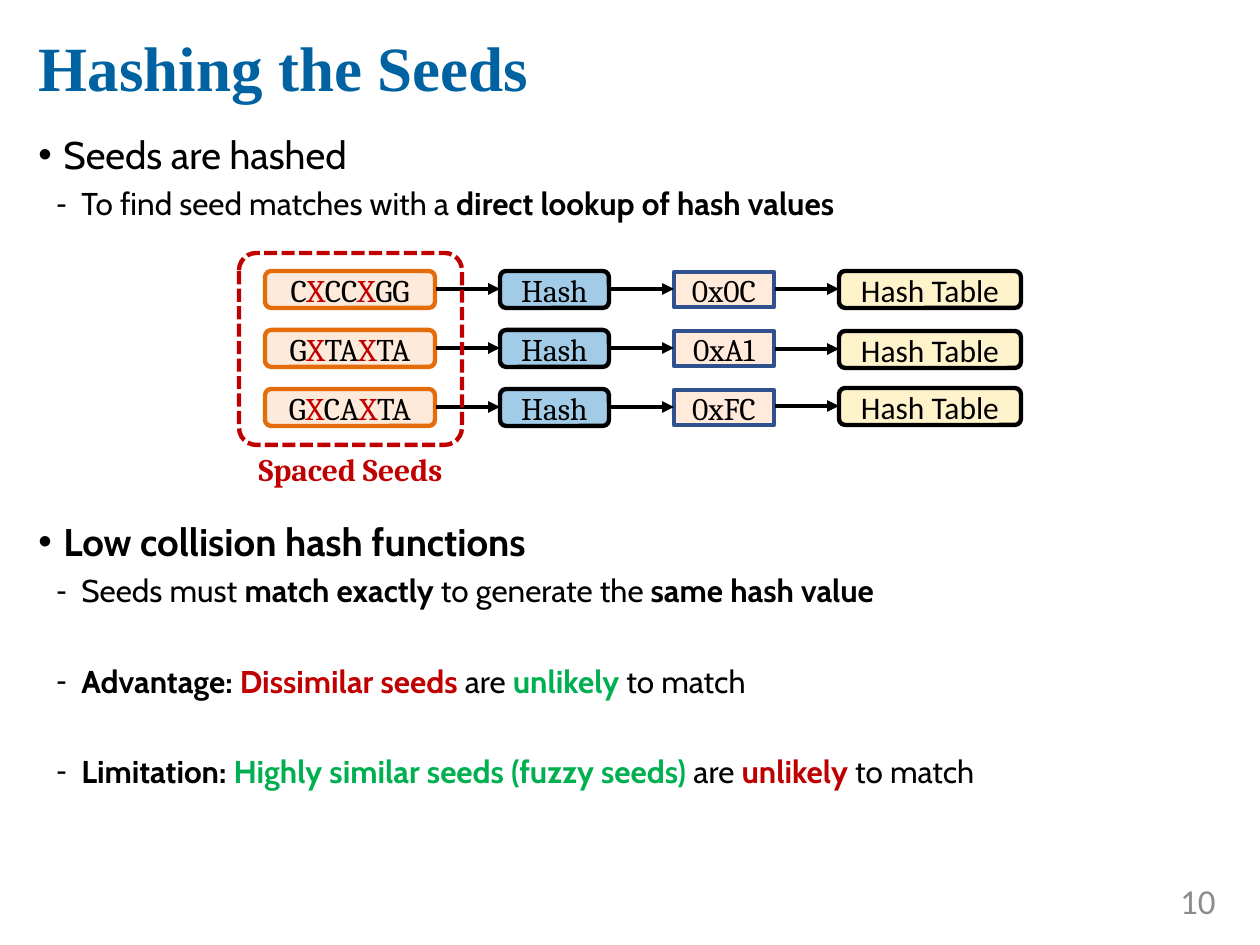
from lxml.etree import SubElement
from pptx import Presentation
from pptx.dml.color import RGBColor
from pptx.enum.dml import MSO_LINE
from pptx.enum.shapes import MSO_CONNECTOR, MSO_SHAPE as SHAPE
from pptx.enum.text import MSO_ANCHOR as ANCHOR, MSO_AUTO_SIZE, PP_ALIGN as ALIGN
from pptx.oxml.ns import qn
from pptx.util import Emu, Pt

PX = 914400 / 126
BLACK = RGBColor(0x00, 0x00, 0x00)
RED = RGBColor(0xC0, 0x00, 0x00)
GREEN = RGBColor(0x00, 0xB0, 0x50)
TITLE_BLUE = RGBColor(0x00, 0x62, 0xA0)
GREY = RGBColor(0x8C, 0x8C, 0x8C)
SEED_FILL = RGBColor(0xFD, 0xEA, 0xDA)
SEED_LINE = RGBColor(0xE4, 0x6C, 0x0A)
HASH_FILL = RGBColor(0xA1, 0xCB, 0xE6)
VALUE_FILL = RGBColor(0xFF, 0xEA, 0xDC)
VALUE_LINE = RGBColor(0x2F, 0x52, 0x8E)
TABLE_FILL = RGBColor(0xFF, 0xF3, 0xCC)


def px(*lengths):
    return [Emu(round(length * PX)) for length in lengths]


def write(paragraph, runs, font, size):
    for text, color, bold in runs:
        run = paragraph.add_run()
        run.text = text
        run.font.name = font
        run.font.size = Pt(size)
        run.font.bold = bold
        run.font.color.rgb = color


prs = Presentation()
prs.slide_width, prs.slide_height = px(1260, 945)
slide = prs.slides.add_slide(prs.slide_layouts[5])
shapes = slide.shapes

title = shapes.title
title.left, title.top, title.width, title.height = px(26, 13, 1212, 106)
heading = title.text_frame
heading.auto_size = MSO_AUTO_SIZE.NONE
heading.vertical_anchor = ANCHOR.MIDDLE
heading.paragraphs[0].alignment = ALIGN.LEFT
write(heading.paragraphs[0], [("Hashing the Seeds", TITLE_BLUE, True)], "Times New Roman", 36)

bullet_blocks = [
    (125, 111, [
        (0, 0, [("Seeds are hashed", BLACK, False)]),
        (1, 4, [("To find seed matches with a", BLACK, False),
                (" direct lookup of hash values", BLACK, True)]),
    ]),
    (512, 343, [
        (0, 0, [("Low collision hash functions", BLACK, True)]),
        (1, 4, [("Seeds must ", BLACK, False), ("match exactly", BLACK, True),
                (" to generate the ", BLACK, False), ("same hash value", BLACK, True)]),
        (1, 30, [("Advantage: ", BLACK, True), ("Dissimilar seeds ", RED, True),
                 ("are ", BLACK, False), ("unlikely", GREEN, True),
                 (" to match", BLACK, False)]),
        (1, 30, [("Limitation: ", BLACK, True),
                 ("Highly similar seeds (fuzzy seeds) ", GREEN, True),
                 ("are ", BLACK, False), ("unlikely", RED, True),
                 (" to match", BLACK, False)]),
    ]),
]
bullet_levels = [("•", 25, 22), ("-", 43, 18)]
for top, height, points in bullet_blocks:
    body = shapes.add_textbox(*px(26, top, 1222, height)).text_frame
    body.word_wrap = True
    for index, (level, gap, runs) in enumerate(points):
        point = body.add_paragraph() if index else body.paragraphs[0]
        mark, indent, size = bullet_levels[level]
        point.level = level
        point.space_before = Pt(gap)
        properties = point._p.get_or_add_pPr()
        properties.set("marL", str(px(indent)[0]))
        properties.set("indent", str(px(-25)[0]))
        mark_color = SubElement(properties, qn("a:buClr"))
        SubElement(mark_color, qn("a:srgbClr"), val=str(BLACK))
        SubElement(properties, qn("a:buFont"), typeface="Arial")
        SubElement(properties, qn("a:buChar"), char=mark)
        write(point, runs, "Cabin", size)

seed_tops = [271, 330, 389]
table_tops = [271, 331, 388]
seeds = ["CXCCXGG", "GXTAXTA", "GXCAXTA"]
hash_values = ["0x0C", "0xA1", "0xFC"]
for seed, hash_value, top, table_top in zip(seeds, hash_values, seed_tops, table_tops):
    seed_runs = [(base, RED if base == "X" else BLACK, False) for base in seed]
    stages = [
        (SHAPE.ROUNDED_RECTANGLE, 265, top, 170, 37, SEED_FILL, SEED_LINE, "Cambria", seed_runs),
        (SHAPE.ROUNDED_RECTANGLE, 500, top, 109, 37, HASH_FILL, BLACK, "Cambria",
         [("Hash", BLACK, False)]),
        (SHAPE.RECTANGLE, 674, top + 1, 100, 35, VALUE_FILL, VALUE_LINE, "Cambria",
         [(hash_value, BLACK, False)]),
        (SHAPE.ROUNDED_RECTANGLE, 839, table_top, 182, 37, TABLE_FILL, BLACK, "Calibri",
         [("Hash Table", BLACK, False)]),
    ]
    for kind, left, stage_top, width, height, fill, outline, font, runs in stages:
        stage = shapes.add_shape(kind, *px(left, stage_top, width, height))
        stage.shadow.inherit = False
        stage.fill.solid()
        stage.fill.fore_color.rgb = fill
        stage.line.color.rgb = outline
        stage.line.width = Pt(2.5)
        label = stage.text_frame
        label.margin_left = label.margin_right = label.margin_top = label.margin_bottom = 0
        label.vertical_anchor = ANCHOR.MIDDLE
        label.paragraphs[0].alignment = ALIGN.CENTER
        write(label.paragraphs[0], runs, font, 18)

    for start, end, y in [(436, 500, top + 18), (609, 674, top + 18), (775, 839, table_top + 18)]:
        arrow = shapes.add_connector(MSO_CONNECTOR.STRAIGHT, *px(start, y, end, y))
        arrow.line.color.rgb = BLACK
        arrow.line.width = Pt(2.25)
        SubElement(arrow.line._get_or_add_ln(), qn("a:tailEnd"), type="triangle")
        SubElement(arrow._element.spPr, qn("a:effectLst"))

seed_group = shapes.add_shape(SHAPE.ROUNDED_RECTANGLE, *px(239, 253, 223, 192))
seed_group.adjustments[0] = 0.09
seed_group.shadow.inherit = False
seed_group.fill.background()
seed_group.line.color.rgb = RED
seed_group.line.width = Pt(2.5)
seed_group.line.dash_style = MSO_LINE.SQUARE_DOT

group_label = shapes.add_textbox(*px(251, 450, 199, 38)).text_frame
group_label.margin_left = group_label.margin_right = 0
group_label.margin_top = group_label.margin_bottom = 0
group_label.word_wrap = True
group_label.paragraphs[0].alignment = ALIGN.CENTER
write(group_label.paragraphs[0], [("Spaced Seeds", RED, True)], "Cambria", 18)

page_number = shapes.add_textbox(*px(1092, 876, 136, 50)).text_frame
page_number.word_wrap = True
page_number.vertical_anchor = ANCHOR.MIDDLE
page_number.paragraphs[0].alignment = ALIGN.RIGHT
write(page_number.paragraphs[0], [("10", GREY, False)], "Calibri", 20)

prs.save("out.pptx")
